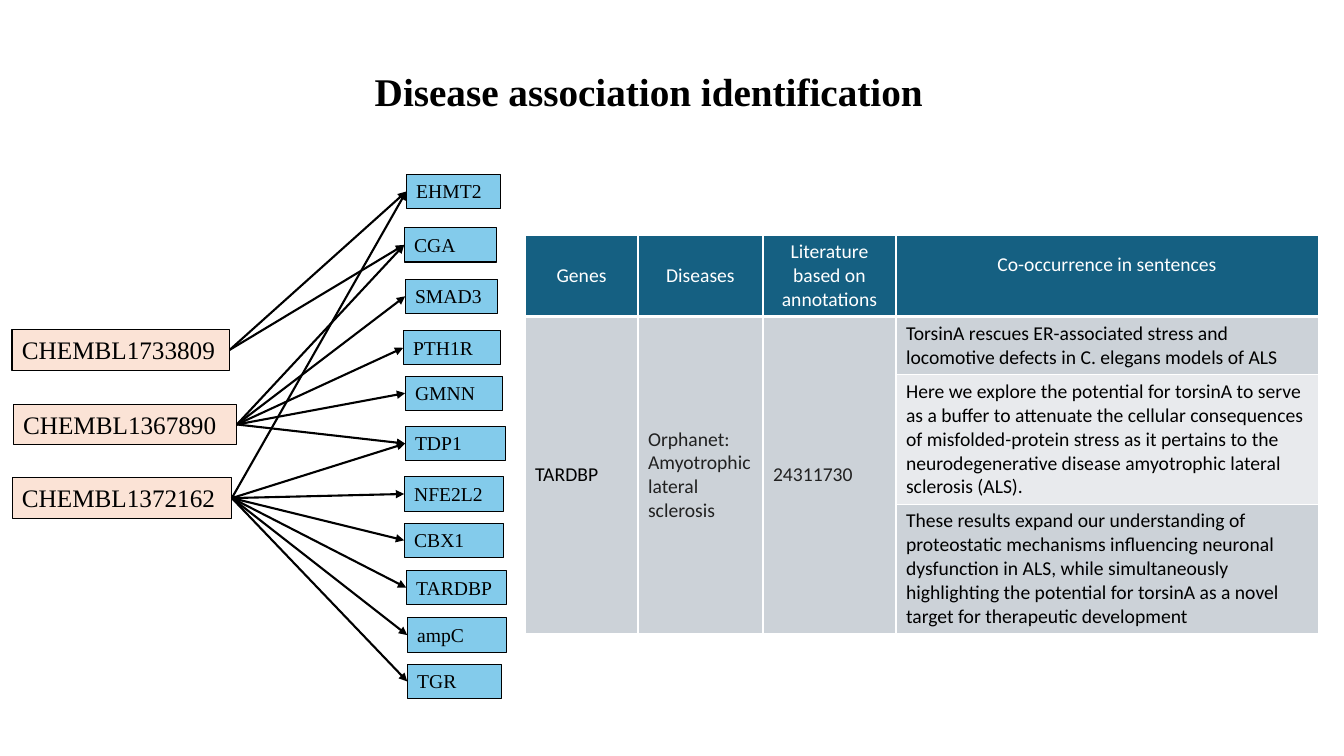
from lxml.etree import SubElement
from pptx import Presentation
from pptx.dml.color import RGBColor
from pptx.enum.shapes import MSO_CONNECTOR
from pptx.enum.text import MSO_ANCHOR, MSO_AUTO_SIZE, PP_ALIGN
from pptx.oxml.ns import qn
from pptx.util import Pt

BLACK = RGBColor(0x00, 0x00, 0x00)
WHITE = RGBColor(0xFF, 0xFF, 0xFF)
CHARCOAL = RGBColor(0x21, 0x21, 0x21)
PEACH = RGBColor(0xFB, 0xE3, 0xD6)
SKY = RGBColor(0x83, 0xCB, 0xEB)
TEAL = RGBColor(0x15, 0x60, 0x82)
GREY = RGBColor(0xCC, 0xD2, 0xD8)
PALE = RGBColor(0xE8, 0xEA, 0xED)

RIGHT_SITE, LEFT_SITE = 3, 1

COMPOUNDS = {
    "CHEMBL1733809": (8.6, 235.4, 155.5),
    "CHEMBL1367890": (9.4, 288.7, 159.8),
    "CHEMBL1372162": (8.6, 341.3, 157),
}
GENES = {
    "EHMT2": (290.2, 124.6, 67.7),
    "CGA": (288.7, 162.7, 66.2),
    "SMAD3": (289.4, 199.4, 66.2),
    "PTH1R": (288, 236.2, 69.8),
    "GMNN": (289.4, 268.6, 69.8),
    "TDP1": (289.4, 304.6, 72),
    "NFE2L2": (288.7, 340.6, 71.3),
    "CBX1": (288.7, 373.7, 71.3),
    "TARDBP": (290.2, 407.5, 71.3),
    "ampC": (290.9, 441.4, 70.6),
    "TGR": (290.9, 474.5, 67.7),
}
TARGETS = {
    "CHEMBL1733809": ["EHMT2", "CGA"],
    "CHEMBL1367890": ["CGA", "SMAD3", "PTH1R", "GMNN", "TDP1"],
    "CHEMBL1372162": ["EHMT2", "TDP1", "NFE2L2", "CBX1", "TARDBP", "ampC", "TGR"],
}
COLUMN_WIDTHS = [80.6, 89.3, 95, 301.7]
ROW_HEIGHTS = [58, 41.5, 92.5, 92]
ROW_FILLS = [TEAL, GREY, PALE, GREY]
ASSOCIATIONS = [
    ["Genes", "Diseases", "Literature based on annotations", "Co-occurrence in sentences"],
    ["TARDBP", "Orphanet: Amyotrophic lateral sclerosis", "24311730",
     "TorsinA rescues ER-associated stress and locomotive defects in C. elegans models of ALS"],
    ["", "", "",
     "Here we explore the potential for torsinA to serve as a buffer to attenuate the "
     "cellular consequences of misfolded-protein stress as it pertains to the "
     "neurodegenerative disease amyotrophic lateral sclerosis (ALS)."],
    ["", "", "",
     "These results expand our understanding of proteostatic mechanisms influencing "
     "neuronal dysfunction in ALS, while simultaneously highlighting the potential for "
     "torsinA as a novel target for therapeutic development"],
]
BODY_COLORS = [BLACK, CHARCOAL, CHARCOAL, BLACK]


class SlideBuilder:
    """Draws boxes, arrows and tables on one slide in a shared style."""

    def __init__(self, slide):
        self.slide = slide
        self.box_font = "Times New Roman"
        self.table_font = "Calibri"
        self.table_size = 14

    def style_text(self, paragraph, name, size, color, bold=False):
        for run in paragraph.runs:
            run.font.name = name
            run.font.size = Pt(size)
            run.font.bold = bold
            run.font.color.rgb = color

    def text(self, content, left, top, width, height, size, bold=False, align=PP_ALIGN.LEFT):
        shape = self.slide.shapes.add_textbox(Pt(left), Pt(top), Pt(width), Pt(height))
        frame = shape.text_frame
        frame.text = content
        frame.word_wrap = True
        frame.auto_size = MSO_AUTO_SIZE.SHAPE_TO_FIT_TEXT
        paragraph = frame.paragraphs[0]
        paragraph.alignment = align
        self.style_text(paragraph, self.box_font, size, BLACK, bold)
        return shape

    def box(self, label, place, height, size, fill):
        shape = self.text(label, *place, height, size)
        shape.fill.solid()
        shape.fill.fore_color.rgb = fill
        shape.line.color.rgb = BLACK
        shape.line.width = Pt(0.75)
        return shape

    def arrow(self, source, target):
        connector = self.slide.shapes.add_connector(MSO_CONNECTOR.STRAIGHT, 0, 0, 0, 0)
        connector.begin_connect(source, RIGHT_SITE)
        connector.end_connect(target, LEFT_SITE)
        connector.line.color.rgb = BLACK
        connector.line.width = Pt(1.5)
        properties = connector.line._get_or_add_ln()
        SubElement(properties, qn("a:tailEnd"), type="triangle")
        SubElement(connector._element.spPr, qn("a:effectLst"))

    def borders(self, cell, top, bottom):
        properties = cell._tc.get_or_add_tcPr()
        for side, width in (("L", 1), ("R", 1), ("T", top), ("B", bottom)):
            line = SubElement(properties, qn(f"a:ln{side}"), w=str(Pt(width)))
            fill = SubElement(line, qn("a:solidFill"))
            SubElement(fill, qn("a:srgbClr"), val=str(WHITE))

    def cell(self, cell, content, row, color):
        is_header = row == 0
        cell.text = content
        cell.vertical_anchor = MSO_ANCHOR.MIDDLE
        paragraph = cell.text_frame.paragraphs[0]
        paragraph.alignment = PP_ALIGN.CENTER if is_header else PP_ALIGN.LEFT
        self.style_text(paragraph, self.table_font, self.table_size,
                        WHITE if is_header else color)
        self.borders(cell, 3 if row == 1 else 1, 3 if is_header else 1)
        cell.fill.solid()
        cell.fill.fore_color.rgb = ROW_FILLS[row]

    def table(self, rows, left, top):
        table = self.slide.shapes.add_table(
            len(rows), len(COLUMN_WIDTHS), Pt(left), Pt(top),
            Pt(sum(COLUMN_WIDTHS)), Pt(sum(ROW_HEIGHTS))).table
        for column, width in zip(table.columns, COLUMN_WIDTHS):
            column.width = Pt(width)
        for index, (contents, height) in enumerate(zip(rows, ROW_HEIGHTS)):
            table.rows[index].height = Pt(height)
            for column, content in enumerate(contents):
                self.cell(table.cell(index, column), content, index, BODY_COLORS[column])
        return table


def main():
    presentation = Presentation()
    presentation.slide_width = Pt(960)
    presentation.slide_height = Pt(540)
    builder = SlideBuilder(presentation.slides.add_slide(presentation.slide_layouts[6]))

    table = builder.table(ASSOCIATIONS, 375.1, 167.8)
    for column in range(3):
        table.cell(1, column).merge(table.cell(3, column))
    table.cell(0, 3).margin_bottom = Pt(20)

    compounds = {name: builder.box(name, place, 29, 18, PEACH)
                 for name, place in COMPOUNDS.items()}
    genes = {name: builder.box(name, place, 24.5, 14, SKY)
             for name, place in GENES.items()}
    for compound, targets in TARGETS.items():
        for gene in targets:
            builder.arrow(compounds[compound], genes[gene])

    builder.text("Disease association identification ", 226.8, 44.6, 480.2, 41, 28,
                 bold=True, align=PP_ALIGN.CENTER)
    presentation.save("out.pptx")


if __name__ == "__main__":
    main()
